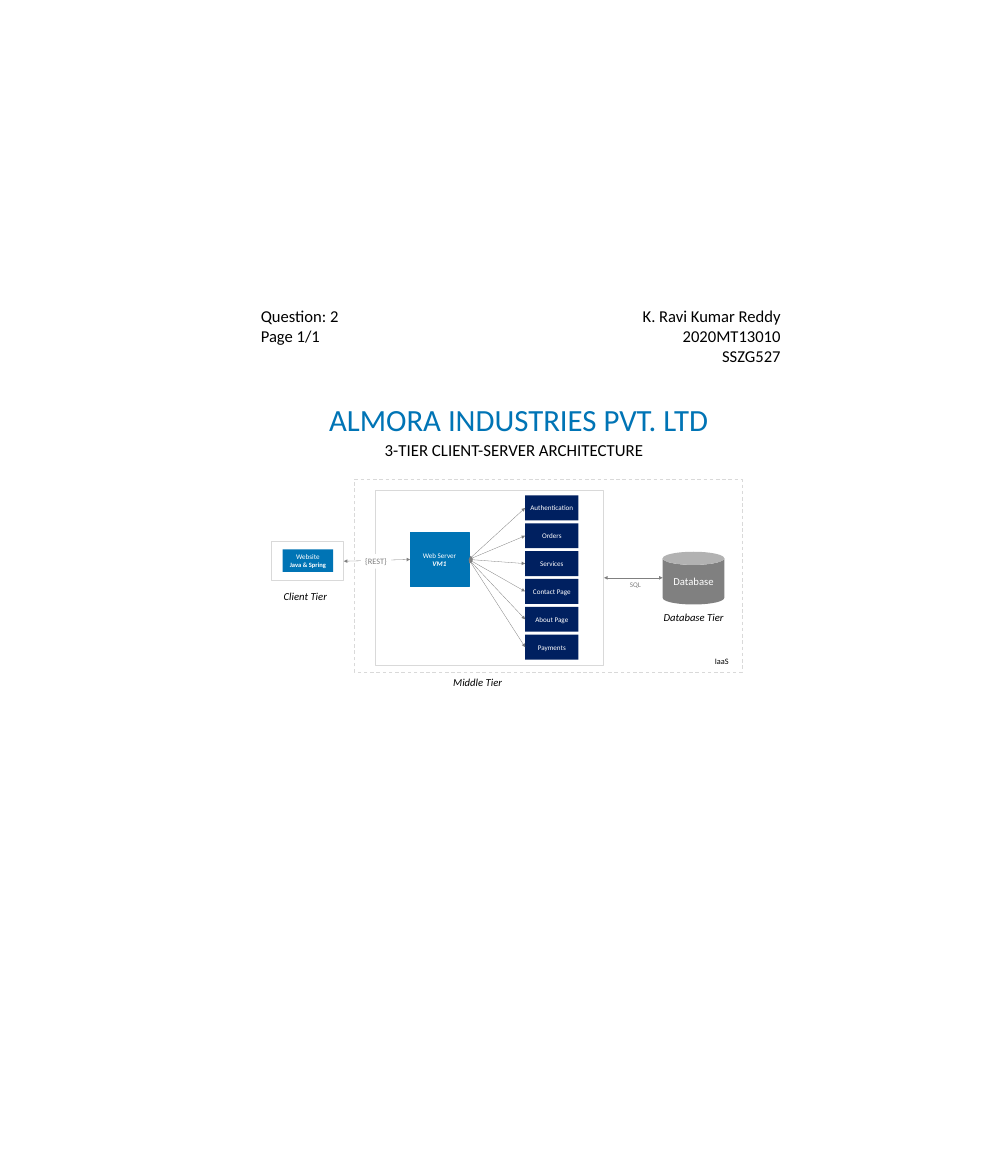
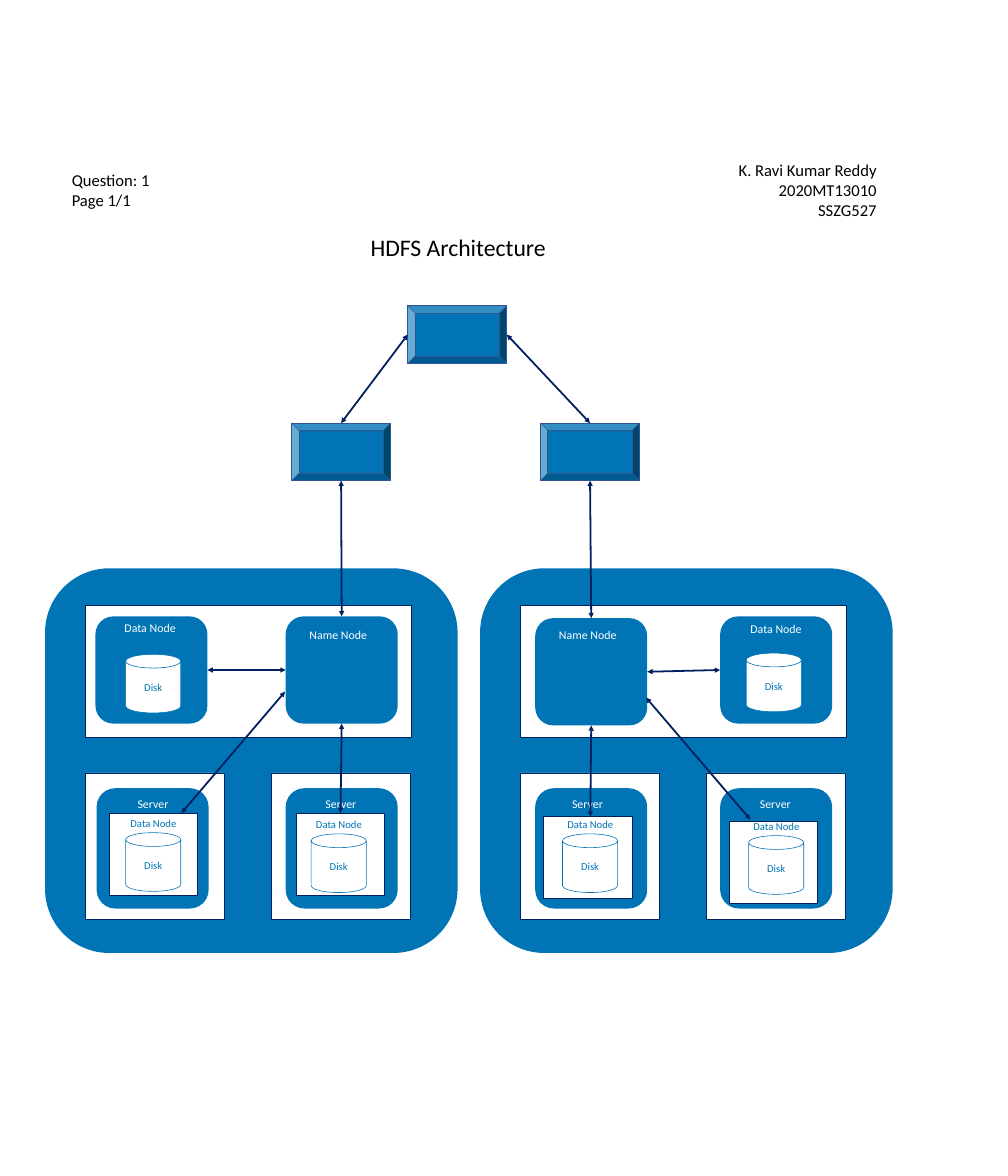
from dataclasses import dataclass

from lxml import etree
from pptx import Presentation
from pptx import util as u
from pptx.dml.color import RGBColor
from pptx.enum import dml, shapes, text
from pptx.oxml.ns import qn


@dataclass(frozen=True)
class Theme:
    font: str = "Calibri"
    blue: str = "0074B5"
    navy: str = "002060"
    edge: str = "325491"
    gray: str = "808080"
    pale: str = "D9D9D9"
    white: str = "FFFFFF"
    black: str = "000000"
    banner: float = 52
    heading: float = 40
    subtitle: float = 28.4
    header: float = 28
    node: float = 20
    tier: float = 18
    note: float = 14
    service: float = 12
    detail: float = 11


THEME = Theme()
KIND = shapes.MSO_SHAPE
ALIGN = text.PP_ALIGN
TOP, LEFT, BOTTOM, RIGHT = range(4)


def color(code):
    return RGBColor.from_string(code)


def write(frame, lines, size, code, align, bold=False, italic=False):
    for index, line in enumerate(lines):
        para = frame.paragraphs[0] if index == 0 else frame.add_paragraph()
        para.alignment = align
        style = dict(size=size, bold=bold, italic=italic)
        if isinstance(line, tuple):
            line, changes = line
            style.update(changes)
        span = para.add_run()
        span.text = line
        span.font.name = THEME.font
        span.font.size = u.Pt(style["size"])
        span.font.bold = style["bold"]
        span.font.italic = style["italic"]
        span.font.color.rgb = color(code)


def add_box(page, kind, at, fill=None, line=None, width=1, lines=(),
            size=THEME.service, ink=THEME.white):
    box = page.shapes.add_shape(kind, *map(u.Pt, at))
    box.shadow.inherit = False
    if fill:
        box.fill.solid()
        box.fill.fore_color.rgb = color(fill)
    else:
        box.fill.background()
    if line:
        box.line.color.rgb = color(line)
        box.line.width = u.Pt(width)
    else:
        box.line.fill.background()
    frame = box.text_frame
    frame.margin_left = frame.margin_right = 0
    frame.vertical_anchor = text.MSO_ANCHOR.MIDDLE
    write(frame, lines, size, ink, ALIGN.CENTER)
    return box


def add_label(page, at, lines, size, ink=THEME.black, align=ALIGN.LEFT, italic=False):
    label = page.shapes.add_textbox(*map(u.Pt, at))
    frame = label.text_frame
    frame.word_wrap = False
    frame.auto_size = text.MSO_AUTO_SIZE.SHAPE_TO_FIT_TEXT
    write(frame, lines, size, ink, align, italic=italic)
    return label


def add_arrow(page, start, end, ink, width):
    arrow = page.shapes.add_connector(shapes.MSO_CONNECTOR.STRAIGHT, 0, 0, 0, 0)
    if isinstance(start[0], (int, float)):
        arrow.begin_x, arrow.begin_y = map(u.Pt, start)
    else:
        arrow.begin_connect(*start)
    if isinstance(end[0], (int, float)):
        arrow.end_x, arrow.end_y = map(u.Pt, end)
    else:
        arrow.end_connect(*end)
    arrow.line.color.rgb = color(ink)
    arrow.line.width = u.Pt(width)
    outline = arrow.line._get_or_add_ln()
    for tip in ("a:headEnd", "a:tailEnd"):
        etree.SubElement(outline, qn(tip), type="triangle")
    etree.SubElement(arrow._element.spPr, qn("a:effectLst"))
    return arrow


def add_page(deck, title, at, size, ink):
    page = deck.slides.add_slide(deck.slide_layouts[5])
    box = page.shapes.title
    box.left, box.top, box.width, box.height = map(u.Pt, at)
    frame = box.text_frame
    frame.word_wrap = True
    frame.auto_size = text.MSO_AUTO_SIZE.NONE
    frame.vertical_anchor = text.MSO_ANCHOR.TOP
    write(frame, [title], size, ink, ALIGN.LEFT)
    return page


def add_header(page, question, question_at, author_at):
    add_label(page, (*question_at, 148, 75), [f"Question: {question}", "Page 1/1"],
              THEME.header)
    add_label(page, (*author_at, 250, 109),
              ["K. Ravi Kumar Reddy", "2020MT13010", "SSZG527"],
              THEME.header, align=ALIGN.RIGHT)


def build_tiers(deck):
    page = add_page(deck, "ALMORA INDUSTRIES PVT. LTD", (548, 673, 683, 71),
                    THEME.banner, THEME.blue)
    add_header(page, 2, (433, 513), (1074, 513))
    add_label(page, (642, 739, 454, 42), ["3-TIER CLIENT-SERVER ARCHITECTURE"],
              THEME.subtitle)

    cloud = add_box(page, KIND.RECTANGLE, (598, 809, 654, 325), line=THEME.pale, width=1.5)
    cloud.line.dash_style = dml.MSO_LINE.DASH
    middle = add_box(page, KIND.RECTANGLE, (634, 827, 385, 296), line=THEME.pale, width=1.5)
    client = add_box(page, KIND.RECTANGLE, (458, 914, 122, 66),
                     THEME.white, THEME.pale, 1.5)
    add_box(page, KIND.RECTANGLE, (477, 927, 85, 38), THEME.blue,
            lines=["Website", ("Java & Spring", dict(size=THEME.detail, bold=True))])
    server = add_box(page, KIND.RECTANGLE, (692, 898, 99, 92), THEME.blue, THEME.blue,
                     lines=["Web Server", ("VM1", dict(bold=True, italic=True))])
    add_box(page, KIND.CAN, (1118, 931, 104, 89), THEME.gray,
            lines=["Database"], size=THEME.tier)

    services = ["Authentication", "Orders", "Services", "Contact Page",
                "About Page", "Payments"]
    for index, name in enumerate(services):
        service = add_box(page, KIND.RECTANGLE, (886, 836 + 47 * index, 90, 42),
                          THEME.navy, lines=[name])
        add_arrow(page, (server, RIGHT), (service, LEFT), THEME.gray, 0.5)
    add_arrow(page, (client, RIGHT), (server, LEFT), THEME.gray, 0.5)
    add_arrow(page, (middle, RIGHT), (1118, 975), THEME.gray, 0.5)

    rest = add_label(page, (609, 935, 51, 24.5), ["{REST}"], THEME.note, THEME.gray)
    rest.fill.solid()
    rest.fill.fore_color.rgb = color(THEME.white)
    add_label(page, (1055.5, 975.5, 33, 22), ["SQL"], THEME.service, THEME.gray)
    add_label(page, (1199, 1104.5, 41, 24.5), ["IaaS"], THEME.note)
    for name, at in [("Client Tier", (471.5, 991.5, 89, 29)),
                     ("Middle Tier", (757.5, 1137.5, 99, 29)),
                     ("Database Tier", (1112.5, 1027.5, 116, 29))]:
        add_label(page, at, [name], THEME.tier, italic=True)


def add_disk(page, left, top):
    add_box(page, KIND.CAN, (left, top, 93, 99), THEME.white, THEME.blue,
            lines=["Disk"], size=THEME.tier, ink=THEME.blue)


def add_node(page, name, at, label_at):
    node = add_box(page, KIND.ROUNDED_RECTANGLE, at, THEME.blue)
    add_label(page, label_at, [name], THEME.node, THEME.white)
    return node


def add_server(page, left, caption, tray_at, disk_at):
    add_node(page, "Server", (left, 1330, 189, 203), (caption, 1341, 67, 32))
    tray = add_box(page, KIND.RECTANGLE, (*tray_at, 149, 138), THEME.white, THEME.navy)
    add_disk(page, *disk_at)
    add_label(page, (disk_at[0] + 1, disk_at[1] - 31, 93, 29), ["Data Node"],
              THEME.tier, THEME.blue)
    return tray


def add_rack(page, left, name_at, data_at, data_label, disk_at, servers):
    add_box(page, KIND.ROUNDED_RECTANGLE, (left, 959, 696, 649), THEME.blue)
    inner = left + 68
    for panel in [(inner, 1022, 550, 222), (inner, 1304, 235, 248),
                  (inner + 314, 1304, 235, 248)]:
        add_box(page, KIND.RECTANGLE, panel, THEME.white, THEME.navy)
    name = add_node(page, "Name Node", (*name_at, 189, 181),
                    (name_at[0] + 33, 1056, 112, 32))
    data = add_node(page, "Data Node", (*data_at, 189, 181), (*data_label, 102, 32))
    add_disk(page, *disk_at)
    trays = [add_server(page, *server) for server in servers]
    return name, data, trays


def build_hdfs(deck):
    page = add_page(deck, "HDFS Architecture", (618, 390, 330, 55),
                    THEME.heading, THEME.black)
    add_header(page, 1, (114, 284), (1236, 266))

    left_name, left_data, left_trays = add_rack(
        page, 76, (482, 1040), (161, 1040), (203, 1043), (212, 1104),
        [(163, 225, (184, 1372), (212, 1405)),
         (482, 542, (500, 1372), (525, 1407))])
    right_name, right_data, _ = add_rack(
        page, 810, (903, 1043), (1215, 1040), (1259, 1045), (1259, 1102),
        [(903, 958, (917, 1377), (949, 1407)),
         (1215, 1275, (1230, 1386), (1263, 1410))])

    for at in [(688, 516), (492, 714), (912, 714)]:
        add_box(page, KIND.BEVEL, (*at, 167, 97), THEME.blue, THEME.edge)

    for start, end in [
        ((688, 564.5), (575.5, 714)),
        ((855, 564.5), (995.5, 714)),
        ((575.5, 811), (left_name, TOP)),
        ((995.5, 811), (right_name, TOP)),
        ((left_name, LEFT), (left_data, RIGHT)),
        ((right_data, LEFT), (right_name, RIGHT)),
        ((left_name, BOTTOM), (left_trays[1], TOP)),
        ((right_name, BOTTOM), (996, 1378)),
        ((481, 1167), (306, 1372)),
        ((1090, 1177), (1266, 1383)),
    ]:
        add_arrow(page, start, end, THEME.navy, 3)


def main():
    deck = Presentation()
    deck.slide_width = u.Pt(1700.64)
    deck.slide_height = u.Pt(1984.32)
    build_tiers(deck)
    build_hdfs(deck)
    deck.save("out.pptx")


if __name__ == "__main__":
    main()
